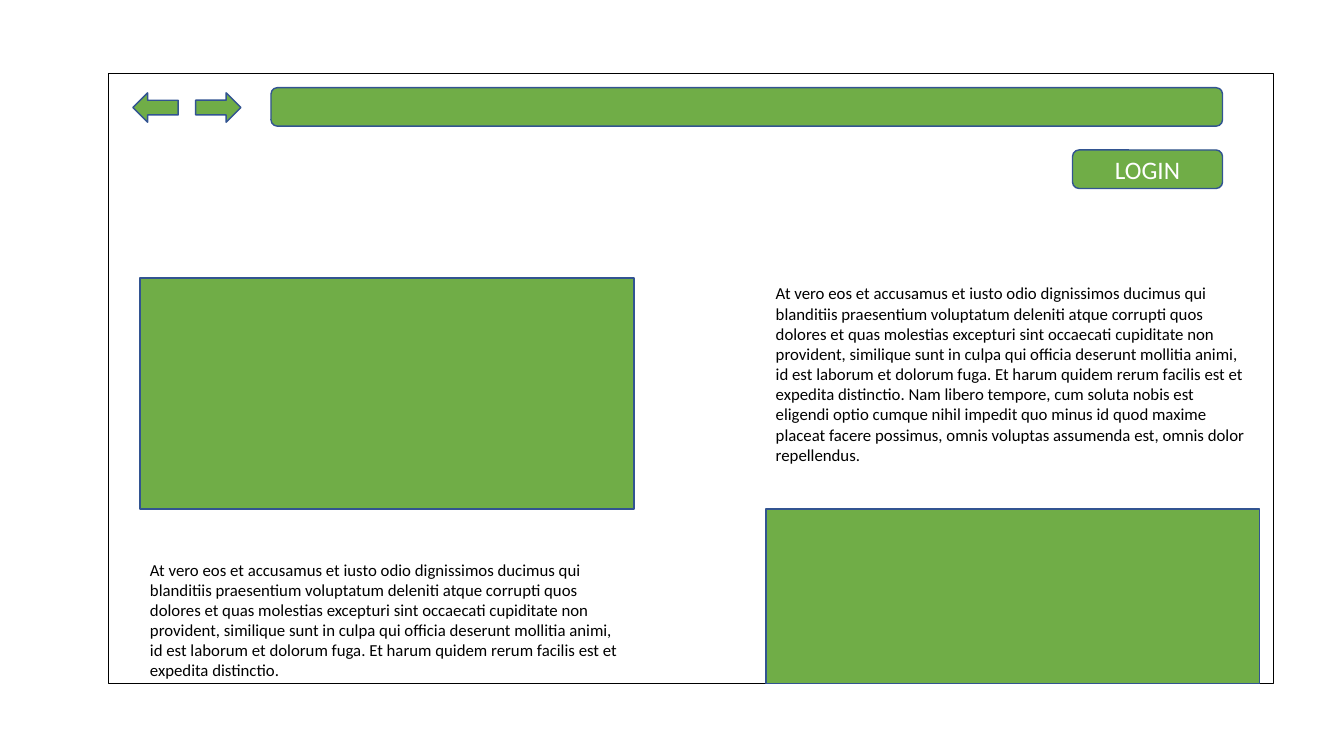
from pptx import Presentation
from pptx.dml.color import RGBColor
from pptx.enum.shapes import MSO_SHAPE
from pptx.enum.text import MSO_ANCHOR, MSO_AUTO_SIZE, PP_ALIGN
from pptx.util import Cm, Pt

WHITE = RGBColor(0xFF, 0xFF, 0xFF)
BLACK = RGBColor(0x00, 0x00, 0x00)
GREEN = RGBColor(0x70, 0xAD, 0x47)
BLUE = RGBColor(0x32, 0x54, 0x91)

# Shared page measures in centimetres
LEFT_COLUMN, RIGHT_COLUMN, COLUMN_WIDTH = 3.53, 19.3, 12.45
CONTENT_TOP, LOWER_TOP, FRAME_BOTTOM = 7.01, 12.83, 17.22
BAR_HEIGHT, BAR_RIGHT = 0.97, 30.81

SHORT_TEXT = (
    "At vero eos et accusamus et iusto odio dignissimos ducimus qui blanditiis "
    "praesentium voluptatum deleniti atque corrupti quos dolores et quas molestias "
    "excepturi sint occaecati cupiditate non provident, similique sunt in culpa qui "
    "officia deserunt mollitia animi, id est laborum et dolorum fuga. Et harum quidem "
    "rerum facilis est et expedita distinctio."
)
LONG_TEXT = SHORT_TEXT + (
    " Nam libero tempore, cum soluta nobis est eligendi optio cumque nihil impedit "
    "quo minus id quod maxime placeat facere possimus, omnis voluptas assumenda est, "
    "omnis dolor repellendus."
)


def add_box(slide, kind, left, top, width, height, fill=GREEN, line=BLUE):
    shape = slide.shapes.add_shape(kind, Cm(left), Cm(top), Cm(width), Cm(height))
    shape.shadow.inherit = False
    shape.fill.solid()
    shape.fill.fore_color.rgb = fill
    shape.line.color.rgb = line
    shape.line.width = Pt(1)
    return shape


def write_text(shape, text, size, color, alignment=PP_ALIGN.LEFT):
    shape.text_frame.text = text
    paragraph = shape.text_frame.paragraphs[0]
    paragraph.alignment = alignment
    font = paragraph.runs[0].font
    font.name = "Calibri"
    font.size = Pt(size)
    font.color.rgb = color


def add_body_text(slide, text, left, top, height):
    text_box = slide.shapes.add_textbox(Cm(left), Cm(top), Cm(COLUMN_WIDTH), Cm(height))
    text_box.text_frame.word_wrap = True
    text_box.text_frame.auto_size = MSO_AUTO_SIZE.SHAPE_TO_FIT_TEXT
    write_text(text_box, text, 12, BLACK)


def add_button(slide, label, top, width):
    button = add_box(slide, MSO_SHAPE.ROUNDED_RECTANGLE,
                     BAR_RIGHT - width, top, width, BAR_HEIGHT)
    if label:
        write_text(button, label, 18, WHITE, PP_ALIGN.CENTER)
        button.text_frame.vertical_anchor = MSO_ANCHOR.MIDDLE


def main():
    presentation = Presentation()
    presentation.slide_width = Cm(33.87)
    presentation.slide_height = Cm(19.05)
    slide = presentation.slides.add_slide(presentation.slide_layouts[6])

    # Browser window
    add_box(slide, MSO_SHAPE.RECTANGLE, 2.74, 1.85, 29.36, 15.37, WHITE, BLACK)

    # Forward and back arrows, then the address bar
    for left, rotation in ((4.93, 0), (3.35, 180)):
        arrow = add_box(slide, MSO_SHAPE.RIGHT_ARROW, left, 2.34, 1.14, 0.74)
        arrow.rotation = rotation
    add_button(slide, "", 2.21, 23.98)

    # Image areas
    for left, top, bottom in ((LEFT_COLUMN, CONTENT_TOP, LOWER_TOP),
                              (RIGHT_COLUMN, LOWER_TOP, FRAME_BOTTOM)):
        add_box(slide, MSO_SHAPE.RECTANGLE, left, top, COLUMN_WIDTH, bottom - top)

    # Body texts
    add_body_text(slide, LONG_TEXT, RIGHT_COLUMN, CONTENT_TOP, 4.88)
    add_body_text(slide, SHORT_TEXT, LEFT_COLUMN, 13.97, 3.33)

    # Login button
    add_button(slide, "LOGIN", 3.78, 3.78)

    presentation.save("out.pptx")


if __name__ == "__main__":
    main()
